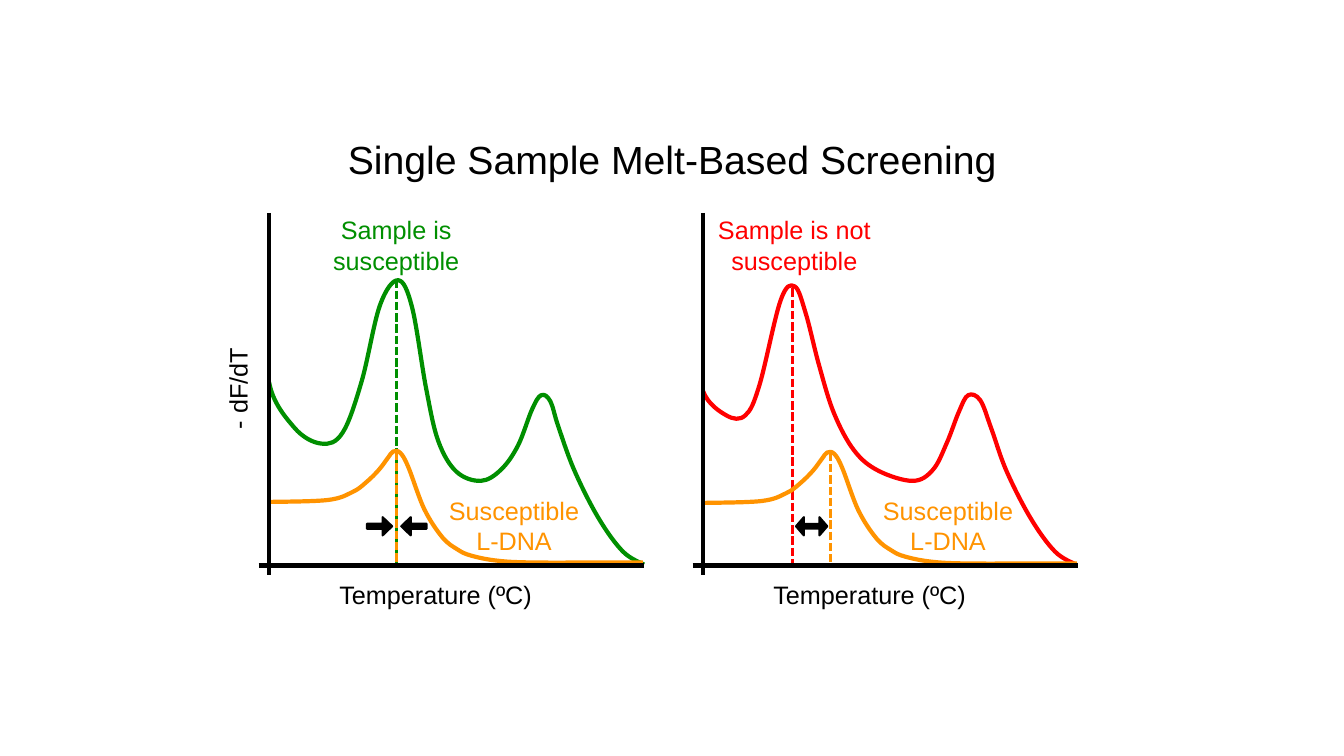
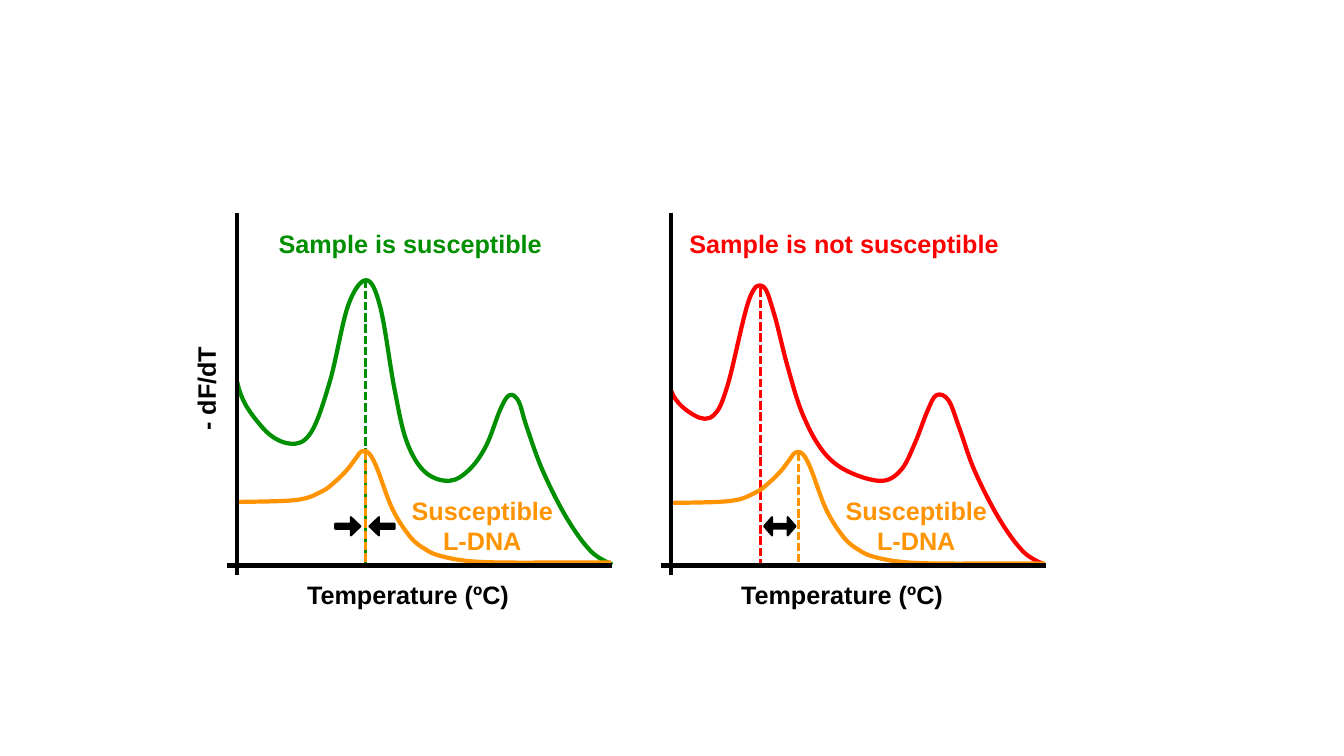
from lxml.etree import SubElement
from pptx import Presentation
from pptx.dml.color import RGBColor
from pptx.enum.dml import MSO_LINE
from pptx.enum.shapes import MSO_CONNECTOR, MSO_SHAPE
from pptx.enum.text import PP_ALIGN
from pptx.oxml.ns import qn
from pptx.util import Pt

BLACK, GREEN, RED, ORANGE = "000000", "008F00", "FF0000", "FF9300"
FONT = "Arial"
BASE = 404
GAP = 310

GREEN_LEAD = (0.7, 189.4)
GREEN_MELT = [
    (0, 131), (18, 98.6), (37.4, 87.1), (52.6, 95), (66.2, 131.8),
    (79.2, 185.8), (92.2, 203.8), (102.2, 184.3), (112.3, 126),
    (121, 88.6), (133.9, 67), (151.2, 60.5), (165.6, 68.4),
    (177.8, 85.7), (187.9, 111.6), (194.4, 121.7), (200.9, 117.4),
    (206.6, 99.4), (218.2, 67.7), (235.4, 33.8), (252.7, 10.1),
    (267.8, 0.7),
]
RED_LEAD = (-5, 163.4)
RED_MELT = [
    (0, 124.6), (16.6, 107.3), (30.2, 107.3), (40.3, 128.9),
    (55.4, 189.4), (65.5, 199.4), (73.4, 180), (82.8, 143.3),
    (93.6, 108.7), (108, 82.1), (125.3, 67.7), (149.8, 60.5),
    (164.2, 68.4), (174.2, 87.8), (182.9, 110.2), (189.4, 121.7),
    (198, 118.1), (205.9, 97.9), (216.7, 67.7), (234, 33.8),
    (251.3, 10.1), (266.4, 0.7),
]
LDNA_MELT = [
    (-1.4, 45.4), (41.8, 46.8), (59.8, 52.6), (69.8, 59.8),
    (78.5, 68.4), (85, 77), (88.6, 81.4), (93.6, 80.6), (99.4, 70.6),
    (110.9, 40.3), (123.8, 20.2), (134.6, 11.5), (144, 7.2),
    (162, 3.6), (187.2, 2.2), (244.1, 2.2), (267.1, 2.2),
]


def color(code):
    return RGBColor.from_string(code)


def write(slide, text, mid, top, width, height, size=18, tint=BLACK,
          bold=False, wrap=False, turn=0):
    box = slide.shapes.add_textbox(
        Pt(mid - width / 2), Pt(top), Pt(width), Pt(height))
    box.rotation = turn
    frame = box.text_frame
    frame.word_wrap = wrap
    frame.text = text
    for para in frame.paragraphs:
        para.alignment = PP_ALIGN.CENTER
        font = para.font
        font.name, font.size, font.bold = FONT, Pt(size), bold
        font.color.rgb = color(tint)


def stroke(line, tint, weight):
    line.color.rgb = color(tint)
    line.width = Pt(weight)


def rule(slide, start, end, tint=BLACK, weight=3, dash=None):
    line = slide.shapes.add_connector(
        MSO_CONNECTOR.STRAIGHT, *[Pt(v) for v in (*start, *end)])
    stroke(line.line, tint, weight)
    line.line.dash_style = dash
    SubElement(line._element.spPr, qn("a:effectLst"))


def marker(slide, x, high, low, tint):
    rule(slide, (x, BASE - high), (x, BASE - low), tint, 2,
         MSO_LINE.SQUARE_DOT)


def handles(knots, lead):
    chain = [lead or knots[0], *knots, knots[-1]]
    for a, b, c, d in zip(chain, chain[1:], chain[2:], chain[3:]):
        yield tuple(q + (r - p) / 6 for p, q, r in zip(a, b, c))
        yield tuple(r - (s - q) / 6 for q, r, s in zip(b, c, d))
        yield c


def curve(slide, left, knots, tint, lead=None, drop=0):
    def place(knot):
        return Pt(left + knot[0]), Pt(BASE + drop - knot[1])

    pen = slide.shapes.build_freeform(*place(knots[0]))
    pen.add_line_segments([place(k) for k in handles(knots, lead)],
                          close=False)
    shape = pen.convert_to_shape()
    shape.shadow.inherit = False
    shape.fill.background()
    stroke(shape.line, tint, 3)
    steps = list(shape._element.iter(qn("a:lnTo")))
    for first, *others in zip(steps[::3], steps[1::3], steps[2::3]):
        first.tag = qn("a:cubicBezTo")
        for step in others:
            first.append(step[0])
            step.getparent().remove(step)


def arrow(slide, kind, left, width, shaft, head):
    shape = slide.shapes.add_shape(
        kind, Pt(left), Pt(369.4), Pt(width), Pt(13))
    shape.adjustments[0], shape.adjustments[1] = shaft, head
    shape.shadow.inherit = False
    shape.fill.solid()
    shape.fill.fore_color.rgb = color(BLACK)
    stroke(shape.line, BLACK, 1.5)


def frame(slide, left, bold):
    write(slide, "Temperature (ºC)", left + (122 if bold else 119), 410.4,
          160, 29, bold=bold)
    write(slide, "Susceptible\nL-DNA", left + 175, 350, 120, 51,
          tint=ORANGE, bold=bold)
    rule(slide, (left, 152), (left, 411))
    rule(slide, (left - 7.5, BASE), (left + 268, BASE))


def match(slide, left, bold):
    peak = left + 91.3
    marker(slide, peak, 204.5, 0, GREEN)
    curve(slide, left, GREEN_MELT, GREEN, GREEN_LEAD)
    curve(slide, left, LDNA_MELT, ORANGE)
    marker(slide, peak, 81.4, -1.4, ORANGE)
    frame(slide, left, bold)
    arrow(slide, MSO_SHAPE.RIGHT_ARROW, left + 69.9, 18, 0.281, 0.522)
    arrow(slide, MSO_SHAPE.LEFT_ARROW, left + 94.4, 18, 0.281, 0.522)


def differ(slide, left, bold):
    marker(slide, left + 63.6, 198, 0, RED)
    curve(slide, left, RED_MELT, RED, RED_LEAD)
    curve(slide, left, LDNA_MELT, ORANGE, drop=0.7)
    marker(slide, left + 90.8, 80.6, 2.2, ORANGE)
    frame(slide, left, bold)
    arrow(slide, MSO_SHAPE.LEFT_RIGHT_ARROW, left + 66.4, 22.3,
          0.244, 0.431)


def page(deck, left, top, height, spots, bold=False):
    slide = deck.slides.add_slide(deck.slide_layouts[6])
    write(slide, "- dF/dT", left - 22.4, 263, 75, 29, bold=bold, turn=270)
    match(slide, left, bold)
    differ(slide, left + GAP, bold)
    labels = [("Sample is susceptible", GREEN),
              ("Sample is not susceptible", RED)]
    for i, ((text, tint), (mid, width)) in enumerate(zip(labels, spots)):
        write(slide, text, left + i * GAP + mid, top, width, height,
              tint=tint, bold=bold, wrap=True)
    return slide


def main():
    deck = Presentation()
    deck.slide_width, deck.slide_height = Pt(960), Pt(540)
    slide = page(deck, 192.2, 149.8, 51, [(90.8, 109.4), (65.2, 132.5)])
    write(slide, "Single Sample Melt-Based Screening", 480, 93, 530, 41,
          size=28, wrap=True)
    page(deck, 169.5, 159.8, 29, [(123.5, 233), (123.5, 241)], bold=True)
    deck.save("out.pptx")


if __name__ == "__main__":
    main()
